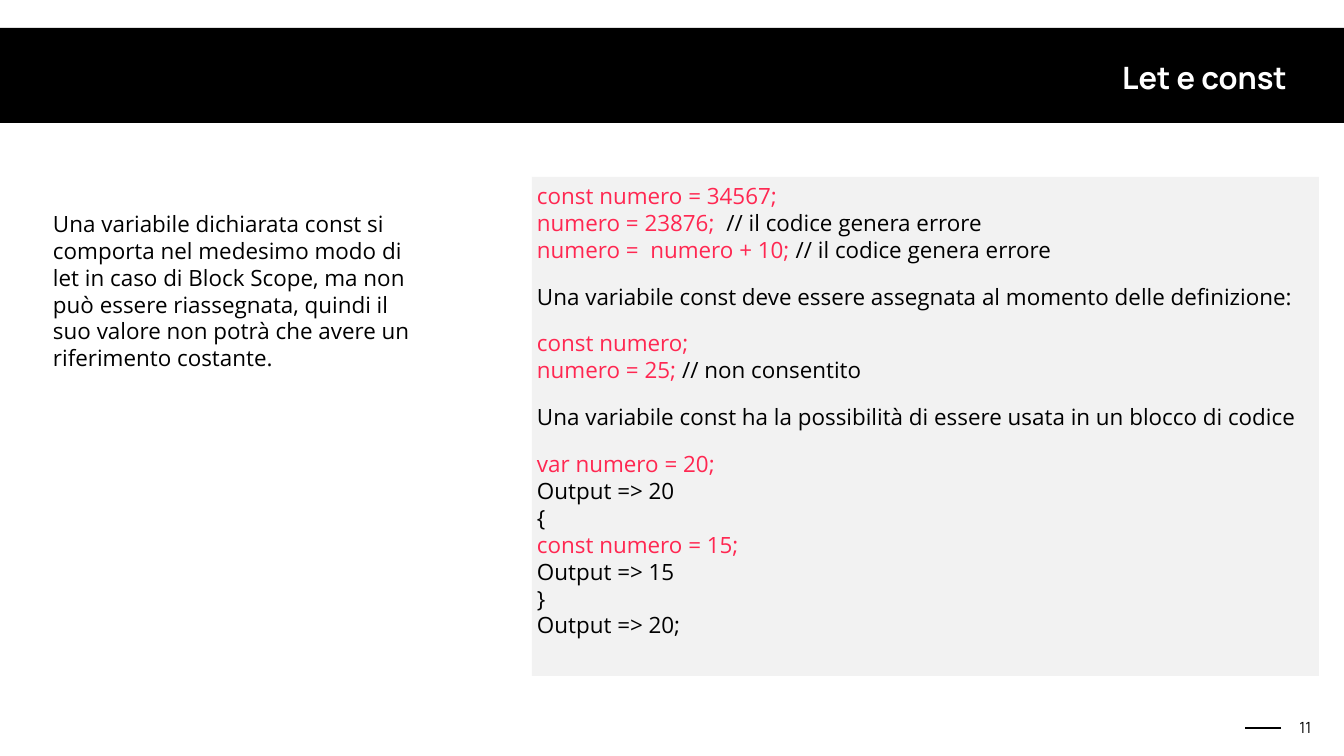
from lxml import etree
from pptx import Presentation
from pptx import util as u
from pptx.dml.color import RGBColor
from pptx.enum import shapes, text
from pptx.oxml.ns import qn

EMU_PER_PX = 914400 / 50.4
BLACK, WHITE, GREY, RED = "000000", "FFFFFF", "F2F2F2", "FF2751"
BODY, HEADING = "Open Sans", "Manrope"

TITLE = "Let e const"
PAGE_NUMBER = "11"
EXPLANATION = (
    "Una variabile dichiarata const si comporta nel medesimo modo di let in caso "
    "di Block Scope, ma non può essere riassegnata, quindi il suo valore non potrà "
    "che avere un riferimento costante."
)
# Groups of lines; each line is a list of (wording, colour) runs.
CODE_GROUPS = [
    [
        [("const numero = 34567;", RED)],
        [("numero = 23876;  ", RED), ("// il codice genera errore", BLACK)],
        [("numero =  numero + 10; ", RED), ("// il codice genera errore", BLACK)],
    ],
    [[("Una variabile const deve essere assegnata al momento delle definizione:", BLACK)]],
    [
        [("const numero;", RED)],
        [("numero = 25; ", RED), ("// non consentito", BLACK)],
    ],
    [[("Una variabile const ha la possibilità di essere usata in un blocco di codice", BLACK)]],
    [
        [("var numero = 20;", RED)],
        [("Output => 20", BLACK)],
        [("{", BLACK)],
        [("const numero = 15;", RED)],
        [("Output => 15", BLACK)],
        [("}", BLACK)],
        [("Output => 20;", BLACK)],
    ],
]
GROUP_GAP = 20


def px(length):
    return u.Emu(round(length * EMU_PER_PX))


def rgb(colour):
    return RGBColor.from_string(colour)


def add_panel(slide, box, fill):
    panel = slide.shapes.add_shape(shapes.MSO_SHAPE.RECTANGLE, *map(px, box))
    panel.shadow.inherit = False
    panel.fill.solid()
    panel.fill.fore_color.rgb = rgb(fill)
    panel.line.fill.background()
    return panel


def write(shape, groups, size, font, inset, align=text.PP_ALIGN.LEFT,
          anchor=text.MSO_ANCHOR.TOP, bold=False):
    """Fill the shape with groups of lines, with a gap before each later group."""
    frame = shape.text_frame
    frame.word_wrap = True
    frame.vertical_anchor = anchor
    frame.margin_left = frame.margin_right = px(inset)
    frame.margin_top = frame.margin_bottom = px(inset)
    paragraph = None
    for group in groups:
        for position, line in enumerate(group):
            first = paragraph is None
            paragraph = frame.paragraphs[0] if first else frame.add_paragraph()
            paragraph.alignment = align
            if position == 0 and not first:
                paragraph.space_before = px(GROUP_GAP)
            for wording, colour in line:
                run = paragraph.add_run()
                run.text = wording
                run.font.size = u.Pt(size)
                run.font.name = font
                run.font.bold = bold
                run.font.color.rgb = rgb(colour)


def main():
    deck = Presentation()
    deck.slide_width, deck.slide_height = px(1344), px(756)
    slide = deck.slides.add_slide(deck.slide_layouts[6])

    add_panel(slide, (0, 28, 1344, 95), BLACK)

    dash = slide.shapes.add_connector(
        shapes.MSO_CONNECTOR.STRAIGHT, px(1281), px(728), px(1245), px(728))
    dash.line.color.rgb = rgb(BLACK)
    dash.line.width = u.Pt(2)
    etree.SubElement(dash._element.spPr, qn("a:effectLst"))

    code = add_panel(slide, (532, 177, 787, 499), GREY)
    write(code, CODE_GROUPS, 32, BODY, 5)

    explanation = add_panel(slide, (48, 205, 385, 173), WHITE)
    write(explanation, [[[(EXPLANATION, BLACK)]]], 32, BODY, 5)

    number = slide.shapes.add_textbox(*map(px, (1293, 716, 25, 24)))
    write(number, [[[(PAGE_NUMBER, BLACK)]]], 22, HEADING, 3,
          align=text.PP_ALIGN.CENTER, anchor=text.MSO_ANCHOR.BOTTOM)

    title = slide.shapes.add_textbox(*map(px, (297, 56, 993, 43)))
    write(title, [[[(TITLE, WHITE)]]], 44, HEADING, 3,
          align=text.PP_ALIGN.RIGHT, anchor=text.MSO_ANCHOR.MIDDLE, bold=True)

    deck.save("out.pptx")


if __name__ == "__main__":
    main()
